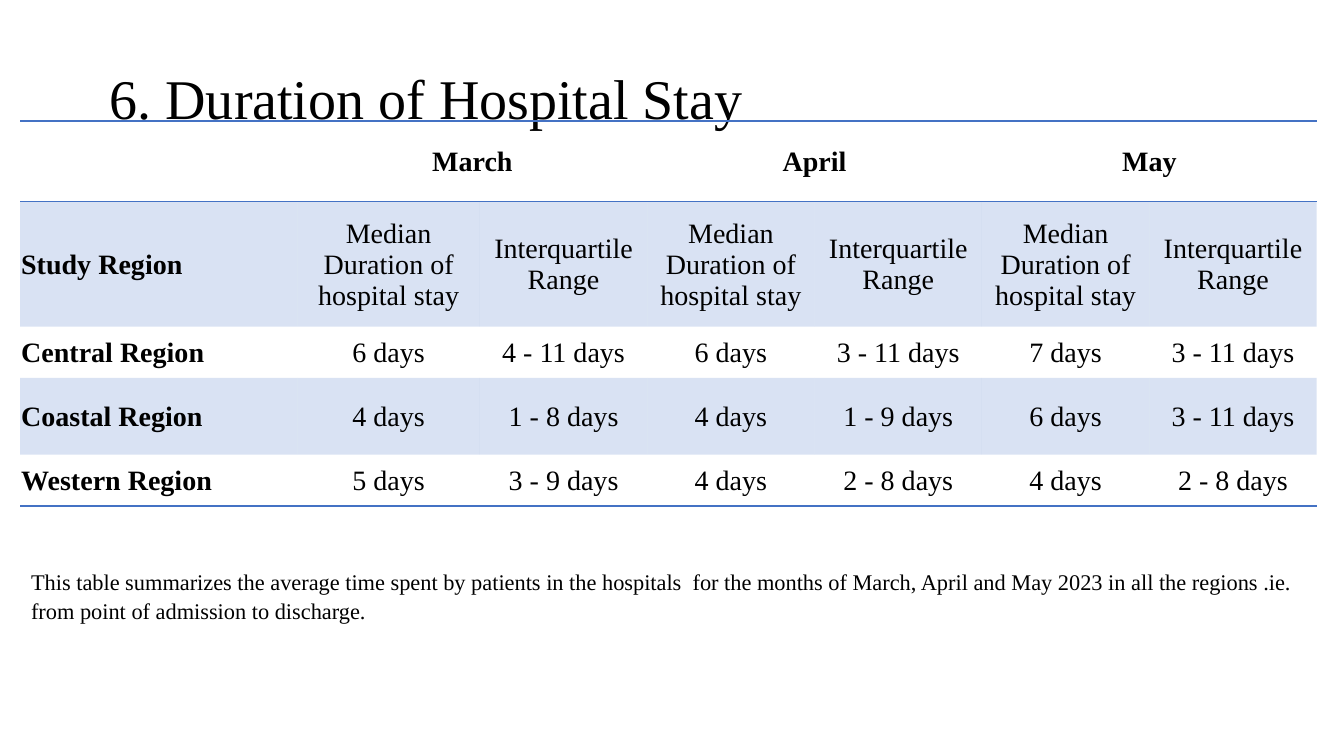
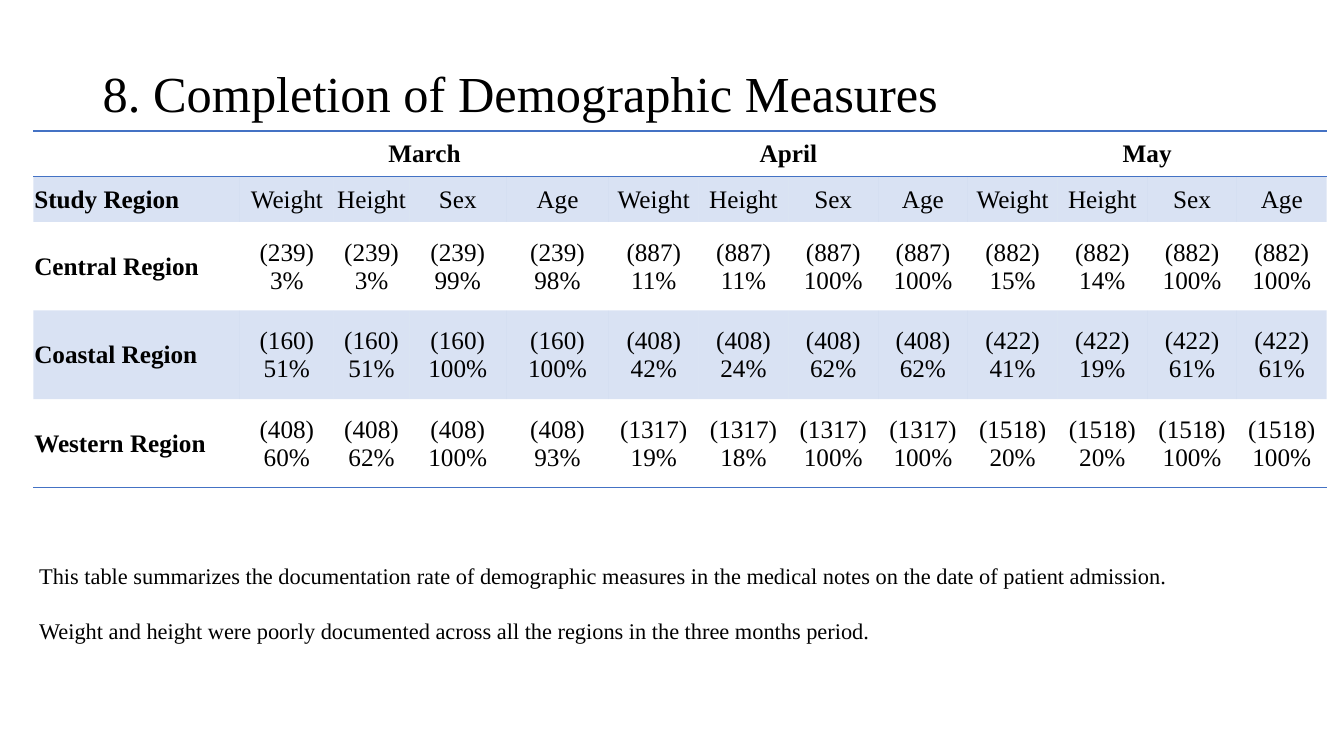
from lxml.etree import SubElement, fromstring
from pptx import Presentation
from pptx.dml.color import RGBColor
from pptx.enum.text import MSO_ANCHOR as Anchor, PP_ALIGN as Align
from pptx.oxml.ns import qn
from pptx.util import Pt

PX = 9144
BLACK = RGBColor(0x00, 0x00, 0x00)
BLUE = RGBColor(0x44, 0x72, 0xC4)
FONT = "Times New Roman"
NAMESPACE = "http://schemas.openxmlformats.org/drawingml/2006/main"
PLAIN_TABLE_STYLE = "{2D5ABB26-0587-4C30-8999-92F81FD0307C}"
MONTHS = ["March", "April", "May"]
REGIONS = ["Central Region", "Coastal Region", "Western Region"]
BAND_ROWS = (1, 3)
BORDERS = {0: ("lnT", "lnB"), 4: ("lnB",)}

SLIDES = [
    {
        "title": "6. Duration of Hospital Stay",
        "title_box": (99, 61, 1143, 80),
        "title_size": 40,
        "table_origin": (20, 120),
        "columns": [275, 181] + [166] * 5,
        "rows": [80, 124, 51, 76, 51],
        "table_size": 20,
        "measures": ["Median Duration of hospital stay", "Interquartile Range"],
        "values": [
            ["6 days", "4 - 11 days", "6 days", "3 - 11 days", "7 days", "3 - 11 days"],
            ["4 days", "1 - 8 days", "4 days", "1 - 9 days", "6 days", "3 - 11 days"],
            ["5 days", "3 - 9 days", "4 days", "2 - 8 days", "4 days", "2 - 8 days"],
        ],
        "note_box": (21, 557, 1286, 64),
        "notes": [
            "This table summarizes the average time spent by patients in the hospitals  for the months "
            "of March, April and May 2023 in all the regions .ie. from point of admission to discharge.",
        ],
    },
    {
        "title": "8. Completion of Demographic Measures",
        "title_box": (92, 61, 1150, 68),
        "title_size": 36,
        "table_origin": (33, 130),
        "columns": [205, 93, 75, 96, 102] + [89] * 8,
        "rows": [45, 45, 88, 88, 88],
        "table_size": 18,
        "measures": ["Weight", "Height", "Sex", "Age"],
        "values": [
            [f"({count}) {rate}%" for count, rates in region for rate in rates]
            for region in [
                [(239, (3, 3, 99, 98)), (887, (11, 11, 100, 100)), (882, (15, 14, 100, 100))],
                [(160, (51, 51, 100, 100)), (408, (42, 24, 62, 62)), (422, (41, 19, 61, 61))],
                [(408, (60, 62, 100, 93)), (1317, (19, 18, 100, 100)), (1518, (20, 20, 100, 100))],
            ]
        ],
        "note_box": (29, 551, 1241, 91),
        "notes": [
            "This table summarizes the documentation rate of demographic measures in the medical notes "
            "on the date of patient admission.",
            "Weight and height were poorly documented across all the regions in the three months period.",
        ],
    },
]


def style_paragraph(paragraph, size, bold=False):
    for run in paragraph.runs:
        run.font.name = FONT
        run.font.size = Pt(size)
        run.font.bold = bold
        run.font.color.rgb = BLACK


def add_text(slide, box, texts, size, line_spacing, anchor):
    text_frame = slide.shapes.add_textbox(*(length * PX for length in box)).text_frame
    text_frame.word_wrap = True
    text_frame.vertical_anchor = anchor
    text_frame.text = "\n".join(texts)
    for index, paragraph in enumerate(text_frame.paragraphs):
        paragraph.line_spacing = line_spacing
        if index:
            paragraph.space_before = Pt(19)
        style_paragraph(paragraph, size)


presentation = Presentation()
presentation.slide_width = 1333 * PX
presentation.slide_height = 750 * PX

for content in SLIDES:
    slide = presentation.slides.add_slide(presentation.slide_layouts[6])
    add_text(slide, content["title_box"], [content["title"]], content["title_size"], 0.9, Anchor.MIDDLE)

    measures = content["measures"]
    month_row = [""]
    for month in MONTHS:
        month_row += [month] + [""] * (len(measures) - 1)
    grid = [month_row, ["Study Region"] + measures * len(MONTHS)]
    grid += [[region] + values for region, values in zip(REGIONS, content["values"])]

    columns, rows = content["columns"], content["rows"]
    left, top = content["table_origin"]
    table_frame = slide.shapes.add_table(
        len(rows), len(columns), left * PX, top * PX, sum(columns) * PX, sum(rows) * PX
    )
    table = table_frame.table
    table.first_row = False
    table.horz_banding = False
    table_frame._element.find(".//" + qn("a:tableStyleId")).text = PLAIN_TABLE_STYLE
    for column, width in zip(table.columns, columns):
        column.width = width * PX
    for row, height in zip(table.rows, rows):
        row.height = height * PX
    for start in range(1, len(columns), len(measures)):
        table.cell(0, start).merge(table.cell(0, start + len(measures) - 1))

    for row_index, texts in enumerate(grid):
        for column_index, text in enumerate(texts):
            cell = table.cell(row_index, column_index)
            cell.margin_left = cell.margin_right = cell.margin_top = PX
            cell.margin_bottom = 0
            cell.vertical_anchor = Anchor.MIDDLE
            cell.text = text
            paragraph = cell.text_frame.paragraphs[0]
            paragraph.alignment = Align.CENTER if column_index else Align.LEFT
            style_paragraph(paragraph, content["table_size"], row_index == 0 or column_index == 0)
            if row_index in BAND_ROWS:
                cell.fill.solid()
                cell.fill.fore_color.rgb = BLUE
                color = cell._tc.tcPr.find(".//" + qn("a:srgbClr"))
                SubElement(color, qn("a:alpha"), val="20000")
            else:
                cell.fill.background()
            for position, edge in enumerate(BORDERS.get(row_index, ())):
                border = fromstring(
                    f'<a:{edge} xmlns:a="{NAMESPACE}" w="12700"><a:solidFill>'
                    f'<a:srgbClr val="{BLUE}"/></a:solidFill></a:{edge}>'
                )
                cell._tc.tcPr.insert(position, border)

    add_text(slide, content["note_box"], content["notes"], 16, 1.07, Anchor.TOP)

presentation.save("out.pptx")
